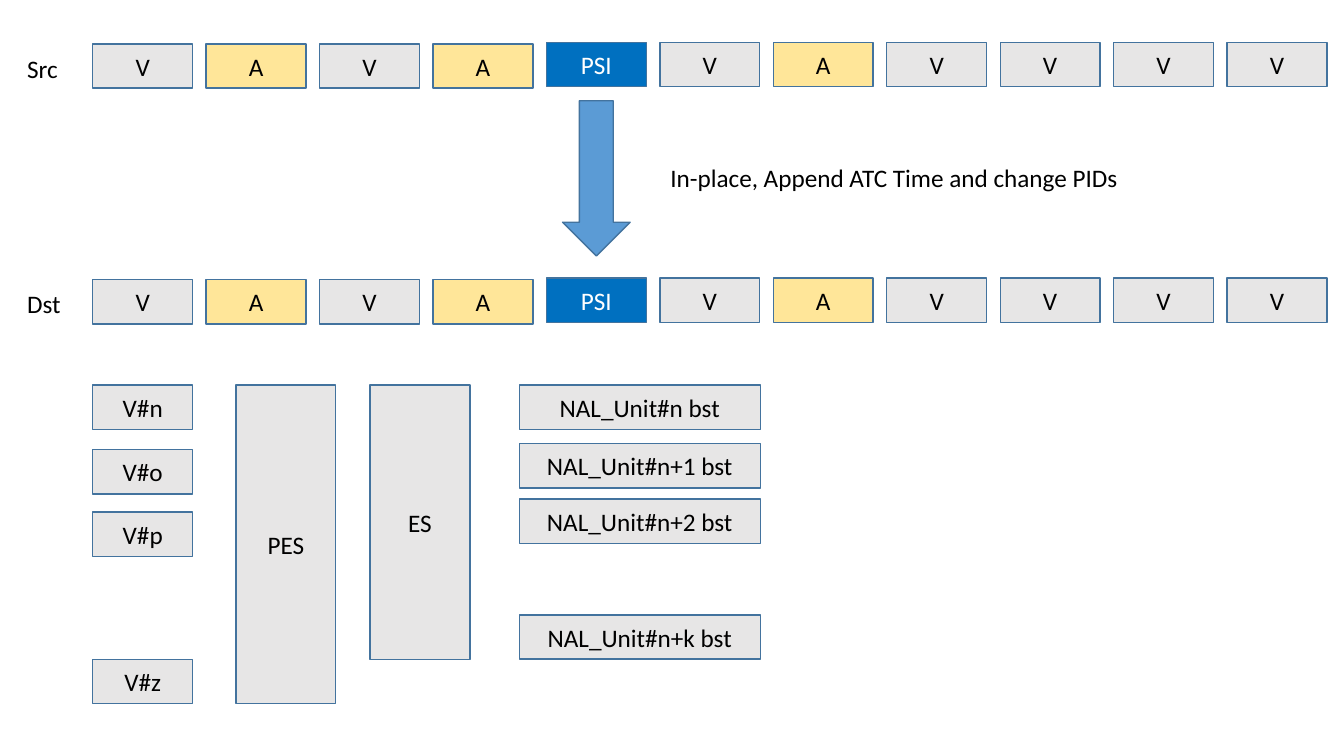
from pptx import Presentation
from pptx.dml.color import RGBColor
from pptx.enum.shapes import MSO_SHAPE
from pptx.enum.text import MSO_ANCHOR, MSO_AUTO_SIZE, PP_ALIGN
from pptx.util import Inches, Pt

RECTANGLE = MSO_SHAPE.RECTANGLE
DOWN_ARROW = MSO_SHAPE.DOWN_ARROW
MIDDLE = MSO_ANCHOR.MIDDLE
CENTER = PP_ALIGN.CENTER
FIT_SHAPE = MSO_AUTO_SIZE.SHAPE_TO_FIT_TEXT

COLORS = {
    "video": "E7E6E6",
    "audio": "FFE699",
    "psi": "0070C0",
    "arrow": "5B9BD5",
    "outline": "43739E",
    "black": "000000",
    "white": "FFFFFF",
}
PACKET_KINDS = {"V": "video", "A": "audio", "PSI": "psi"}
PACKETS = ["V", "A", "V", "A", "PSI", "V", "A", "V", "V", "V", "V"]
LEFT, PITCH = 0.92, 1.125
PACKET_WIDTH, BOX_HEIGHT = 0.99, 0.44
DETAIL_TOP = 3.82


def write_text(shape, text, color="black"):
    paragraph = shape.text_frame.paragraphs[0]
    run = paragraph.add_run()
    run.text = text
    for name, value in {"name": "Calibri", "size": Pt(18)}.items():
        setattr(run.font, name, value)
    run.font.color.rgb = RGBColor.from_string(COLORS[color])
    return paragraph


def add_block(kind, left, top, width, height, text="", geometry=RECTANGLE):
    """Add an outlined shape filled for its kind, with an optional centred label."""
    shape = slide.shapes.add_shape(
        geometry, Inches(left), Inches(top), Inches(width), Inches(height))
    shape.shadow.inherit = False
    shape.fill.solid()
    shape.fill.fore_color.rgb = RGBColor.from_string(COLORS[kind])
    shape.line.color.rgb = RGBColor.from_string(COLORS["outline"])
    shape.line.width = Pt(1)
    if text:
        shape.text_frame.word_wrap = True
        shape.text_frame.vertical_anchor = MIDDLE
        paragraph = write_text(shape, text, "white" if kind == "psi" else "black")
        paragraph.alignment = CENTER


presentation = Presentation()
presentation.slide_width = Inches(13.33)
presentation.slide_height = Inches(7.5)
slide = presentation.slides.add_slide(presentation.slide_layouts[6])

# Source and destination streams: the first four packets sit slightly lower
for stream_top in (0.42, 2.76):
    for index, packet in enumerate(PACKETS):
        top = stream_top + (0.015 if index < 4 else 0)
        add_block(PACKET_KINDS[packet], LEFT + index * PITCH, top,
                  PACKET_WIDTH, BOX_HEIGHT, packet)

# Stream labels and the conversion step
add_block("arrow", 5.58, 1, 0.67, 1.54, geometry=DOWN_ARROW)
labels = [
    ("Src", 0.17, 0.48, 0.51),
    ("Dst", 0.17, 2.81, 0.54),
    ("In-place, Append ATC Time and change PIDs", 6.55, 1.56, 4.69),
]
for text, left, top, width in labels:
    label = slide.shapes.add_textbox(
        Inches(left), Inches(top), Inches(width), Inches(0.4))
    label.text_frame.word_wrap = False
    label.text_frame.auto_size = FIT_SHAPE
    write_text(label, text)

# Video packets
for suffix, top in zip("nopz", (DETAIL_TOP, 4.46, 5.08, 6.54)):
    add_block("video", LEFT, top, PACKET_WIDTH, BOX_HEIGHT, f"V#{suffix}")

# Packetized and elementary streams
for text, left, height in (("PES", 2.34, 3.16), ("ES", 3.67, 2.72)):
    add_block("video", left, DETAIL_TOP, PACKET_WIDTH, height, text)

# NAL units
for suffix, top in zip(("n", "n+1", "n+2", "n+k"), (DETAIL_TOP, 4.4, 4.95, 6.1)):
    add_block("video", 5.15, top, 2.39, BOX_HEIGHT, f"NAL_Unit#{suffix} bst")

presentation.save("out.pptx")
